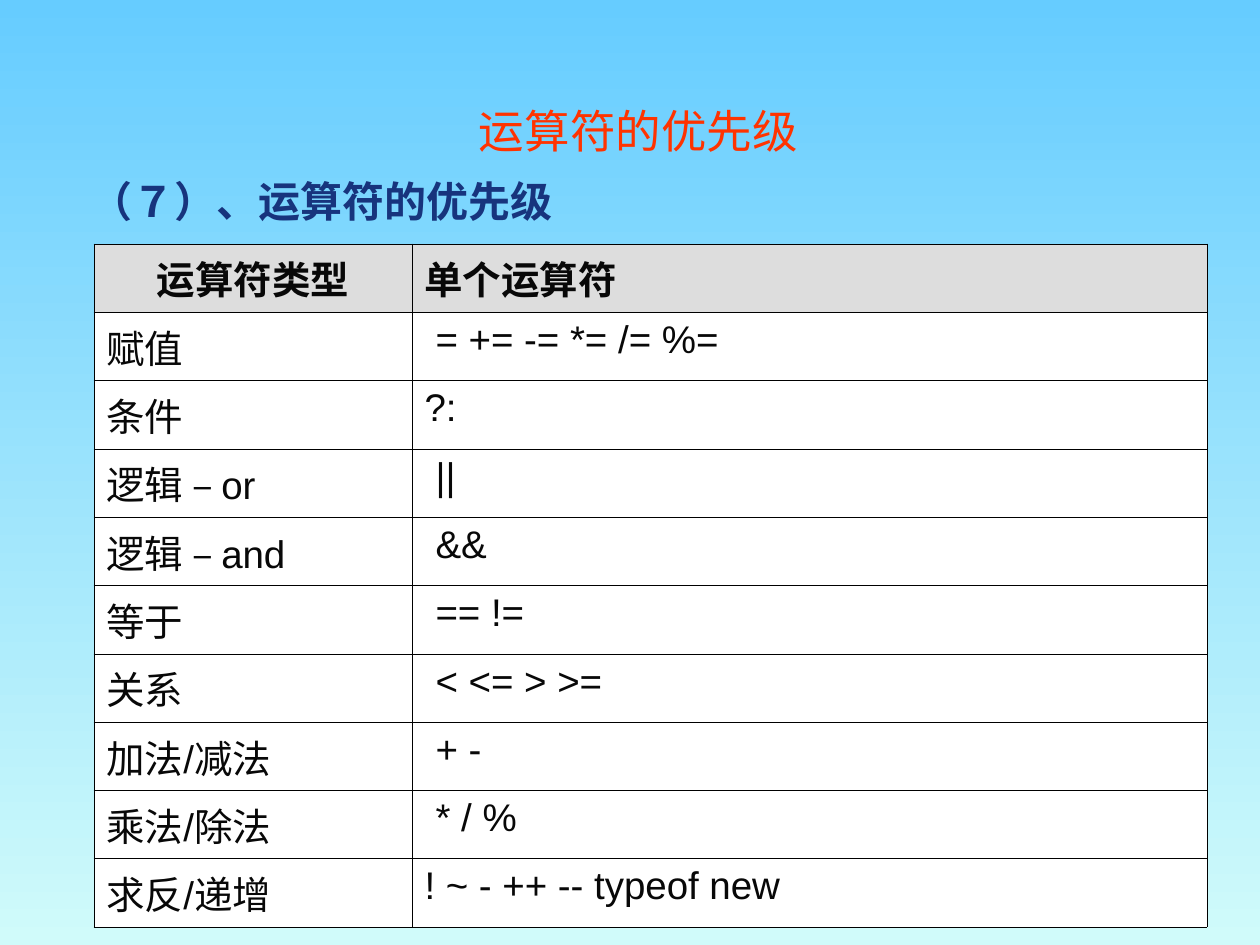
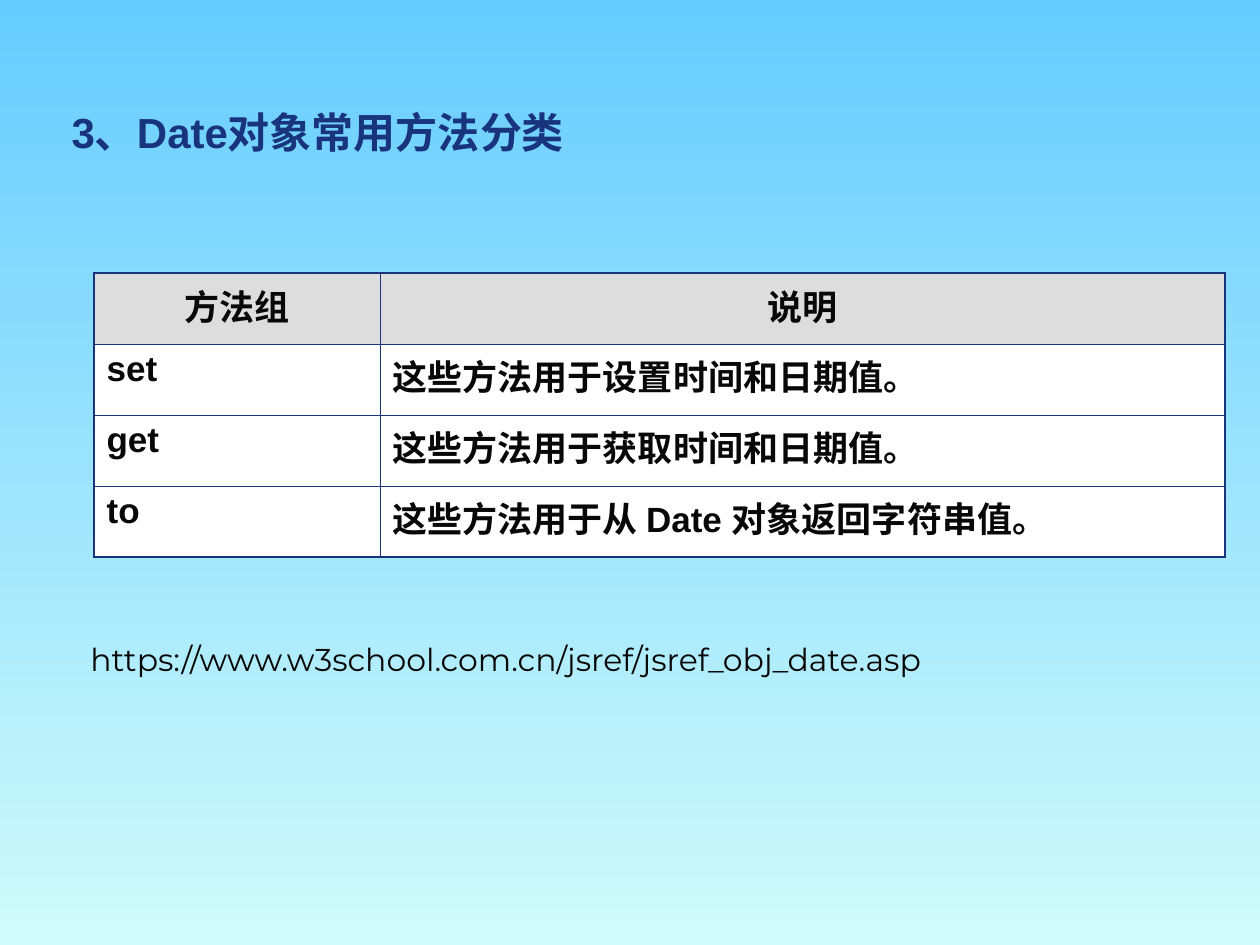
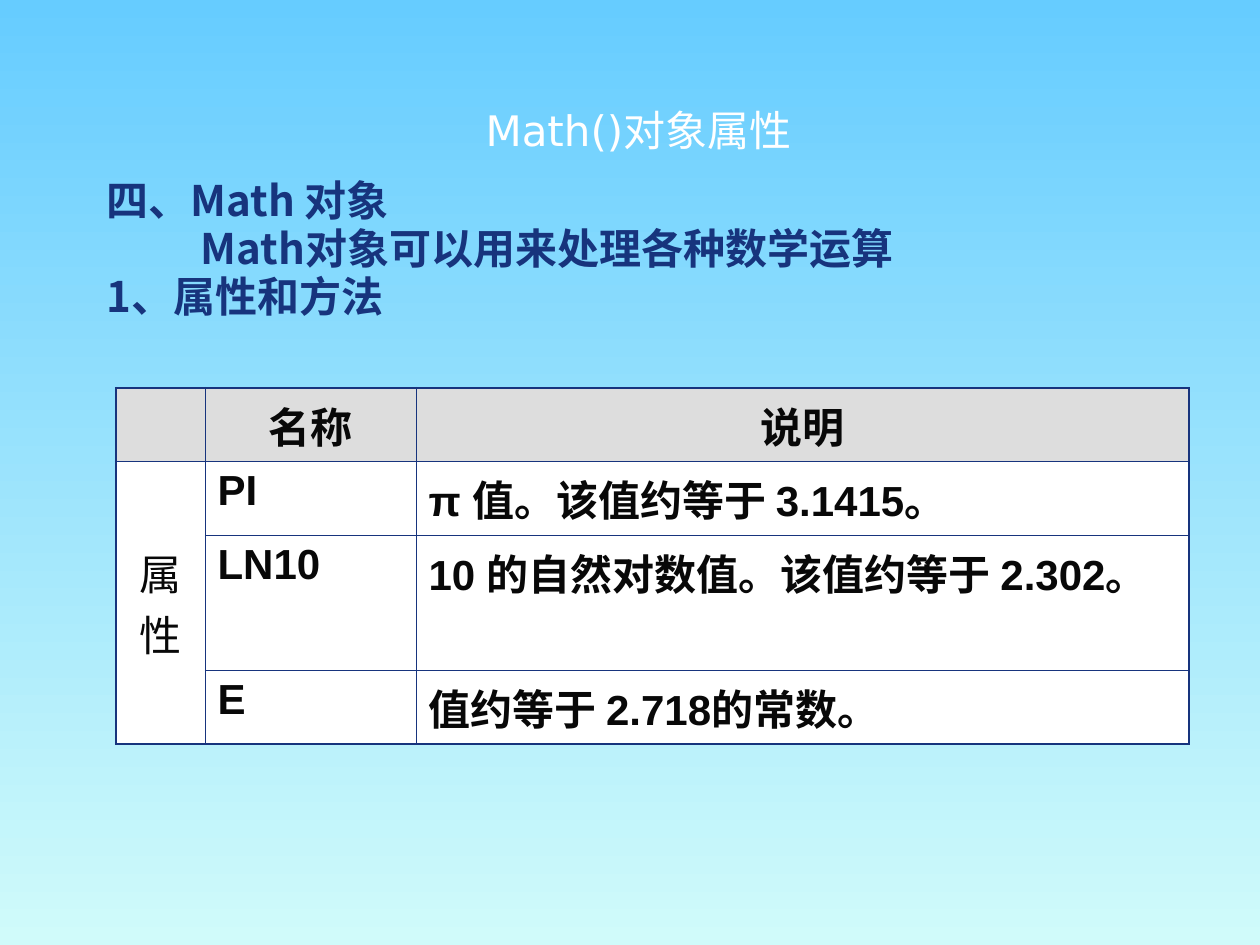
from lxml import etree
from pptx import Presentation
from pptx import util as u
from pptx.dml.color import RGBColor
from pptx.enum import text
from pptx.oxml.ns import qn

# Shared style
PX_PER_INCH = 126
COLORS = {
    "sky": "66CCFF", "mint": "D0FBFA", "navy": "17347D", "red": "FF3300",
    "white": "FFFFFF", "ink": "080808", "black": "000000", "header": "DDDDDD",
}
ARIAL, DEJAVU, MONTSERRAT, NOTO = "Arial", "DejaVu Sans", "Montserrat", "Noto Sans CJK SC"
ALIGN = {"left": text.PP_ALIGN.LEFT, "center": text.PP_ALIGN.CENTER, "justify": text.PP_ALIGN.JUSTIFY}
TITLE_BOX = (101, 91, 1075, 78)
SPACE_INDENT = 11

# Content: a paragraph is a string, or a list of (text, font) runs
PRECEDENCE = {
    "title": ("运算符的优先级", 26, "red"),
    "body": {"box": (78, 175, 1118, 684), "lines": [("（７）、运算符的优先级", 0)],
             "font": ARIAL, "spacing": 0.9},
    "table": {
        "at": (94, 244), "columns": (318, 795), "rows": [68] * 10, "size": 22,
        "line": "black", "outer": 0.45, "inner": 0.45,
        "cells": [
            ("运算符类型", "单个运算符"),
            ("赋值", "= += -= *= /= %="),
            ("条件", "?:"),
            ([("逻辑 ", ARIAL), ("– ", DEJAVU), ("or", ARIAL)], "||"),
            ([("逻辑 ", ARIAL), ("– ", DEJAVU), ("and", ARIAL)], "&&"),
            ("等于", "== !="),
            ("关系", "< <= > >="),
            ("加法/减法", "+ -"),
            ("乘法/除法", "* / %"),
            ("求反/递增", "! ~ - ++ -- typeof new"),
        ],
        "header_align": ("center", "left"), "middle_column": True,
        "plain_columns": (0, 1), "indented_rows": (1, 3, 4, 5, 6, 7, 8),
    },
}
DATE_METHODS = {
    "body": {"box": (59, 111, 1108, 116), "lines": [("3、Date对象常用方法分类", 0)],
             "font": ARIAL, "spacing": 0.78},
    "table": {
        "at": (94, 273), "columns": (286, 845), "rows": [71] * 4, "size": 20,
        "line": "navy", "outer": 1.08, "inner": 0.45,
        "cells": [
            ("方法组", "说明"),
            ("set", "这些方法用于设置时间和日期值。"),
            ("get", "这些方法用于获取时间和日期值。"),
            ("to", "这些方法用于从 Date 对象返回字符串值。"),
        ],
    },
    "link": ("https://www.w3school.com.cn/jsref/jsref_obj_date.asp", (78, 634, 1023, 50)),
}
MATH_PROPERTIES = {
    "title": ("Math()对象属性", 24, "white"),
    "body": {"box": (94, 179, 1047, 329), "font": NOTO, "spacing": 0.78,
             "lines": [("四、Math 对象", 0), ("Math对象可以用来处理各种数学运算", 94),
                       ("1、属性和方法", 0)]},
    "table": {
        "at": (116, 388), "columns": (89, 211, 773), "rows": (73, 73, 135, 73), "size": 24,
        "line": "navy", "outer": 1.47, "inner": 0.23,
        "cells": [
            ("", "名称", "说明"),
            ("属性", "PI", "π 值。该值约等于 3.1415。"),
            ("", "LN10", "10 的自然对数值。该值约等于 2.302。"),
            ("", "E", "值约等于 2.718的常数。"),
        ],
        "merge": ((1, 0), (3, 0)), "middle_column": True, "plain_columns": (0,),
    },
}


def px(*lengths):
    return [u.Inches(length / PX_PER_INCH) for length in lengths]


def rgb(name):
    return RGBColor.from_string(COLORS[name])


def write(paragraph, content, *, font=ARIAL, size=24, color="ink", bold=False,
          align="left", indent=0, spacing=None, before=0):
    properties = paragraph._p.get_or_add_pPr()
    properties.set("marL", "0")
    properties.set("indent", str(px(indent)[0]))
    etree.SubElement(properties, qn("a:buNone"))
    paragraph.alignment = ALIGN[align]
    paragraph.space_before = u.Pt(before)
    if spacing:
        paragraph.line_spacing = spacing
    runs = [(content, font)] if isinstance(content, str) else content
    for words, face in runs:
        run = paragraph.add_run()
        run.text = words
        run.font.name, run.font.size, run.font.bold = face, u.Pt(size), bold
        run.font.color.rgb = rgb(color)
        latin = run._r.get_or_add_rPr().find(qn("a:latin"))
        east_asian = etree.Element(qn("a:ea"), typeface=NOTO)
        latin.addnext(east_asian)


def place(shape, box):
    shape.left, shape.top, shape.width, shape.height = px(*box)
    shape.text_frame.word_wrap = True
    shape.text_frame.auto_size = text.MSO_AUTO_SIZE.NONE
    return shape.text_frame


def add_title(slide, words, size, color):
    frame = place(slide.shapes.title, TITLE_BOX)
    frame.vertical_anchor = text.MSO_ANCHOR.MIDDLE
    write(frame.paragraphs[0], words, font=DEJAVU, size=size, color=color, align="center")


def add_body(slide, box, lines, font, spacing):
    frame = place(slide.placeholders[1], box)
    frame.vertical_anchor = text.MSO_ANCHOR.TOP
    for number, (words, indent) in enumerate(lines):
        paragraph = frame.add_paragraph() if number else frame.paragraphs[0]
        write(paragraph, words, font=font, color="navy", bold=True, indent=indent,
              spacing=spacing, before=5 if number else 0)


def set_borders(cell, color, widths):
    properties = cell._tc.get_or_add_tcPr()
    for position, (side, width) in enumerate(zip("LRTB", widths)):
        line = etree.Element(qn(f"a:ln{side}"), w=str(u.Pt(width)))
        fill = etree.SubElement(line, qn("a:solidFill"))
        etree.SubElement(fill, qn("a:srgbClr"), val=COLORS[color])
        properties.insert(position, line)


def add_table(slide, at, columns, rows, size, line, outer, inner, cells, merge=None,
              header_align=None, middle_column=False, plain_columns=(), indented_rows=()):
    box = px(*at, sum(columns), sum(rows))
    table = slide.shapes.add_table(len(rows), len(columns), *box).table
    table.first_row = table.horz_banding = False
    for column, width in zip(table.columns, px(*columns)):
        column.width = width
    for row, height in zip(table.rows, px(*rows)):
        row.height = height
    if merge:
        first, last = merge
        table.cell(*first).merge(table.cell(*last))

    for r, row in enumerate(cells):
        for c, content in enumerate(row):
            cell = table.cell(r, c)
            cell.fill.solid()
            cell.fill.fore_color.rgb = rgb("white" if r else "header")
            edges = (c == 0, c == len(columns) - 1, r == 0, r + cell.span_height == len(rows))
            set_borders(cell, line, [outer if edge else inner for edge in edges])
            if middle_column and c == 0:
                cell.vertical_anchor = text.MSO_ANCHOR.MIDDLE
            if not content:
                continue
            if r == 0:
                align = header_align[c] if header_align else "center"
            else:
                align = "center" if cell.is_merge_origin else "justify"
            write(cell.text_frame.paragraphs[0], content, size=size, align=align,
                  bold=r == 0 or c not in plain_columns,
                  indent=SPACE_INDENT if c == 1 and r in indented_rows else 0)


def add_slide(presentation, content):
    slide = presentation.slides.add_slide(presentation.slide_layouts[1])
    if "title" in content:
        add_title(slide, *content["title"])
    else:
        title = slide.shapes.title._element
        title.getparent().remove(title)
    add_body(slide, **content["body"])
    add_table(slide, **content["table"])
    if "link" in content:
        words, box = content["link"]
        frame = place(slide.shapes.add_textbox(*px(*box)), box)
        write(frame.paragraphs[0], words, font=MONTSERRAT, size=18)


def main():
    presentation = Presentation()
    presentation.slide_width, presentation.slide_height = u.Inches(10), u.Inches(7.5)

    # Sky gradient behind every slide
    background = presentation.slide_master.background.fill
    background.gradient()
    background.gradient_angle = 270
    for stop, position, color in zip(background.gradient_stops, (0, 1), ("sky", "mint")):
        stop.position = position
        stop.color.rgb = rgb(color)

    for content in (PRECEDENCE, DATE_METHODS, MATH_PROPERTIES):
        add_slide(presentation, content)
    presentation.save("out.pptx")


if __name__ == "__main__":
    main()
